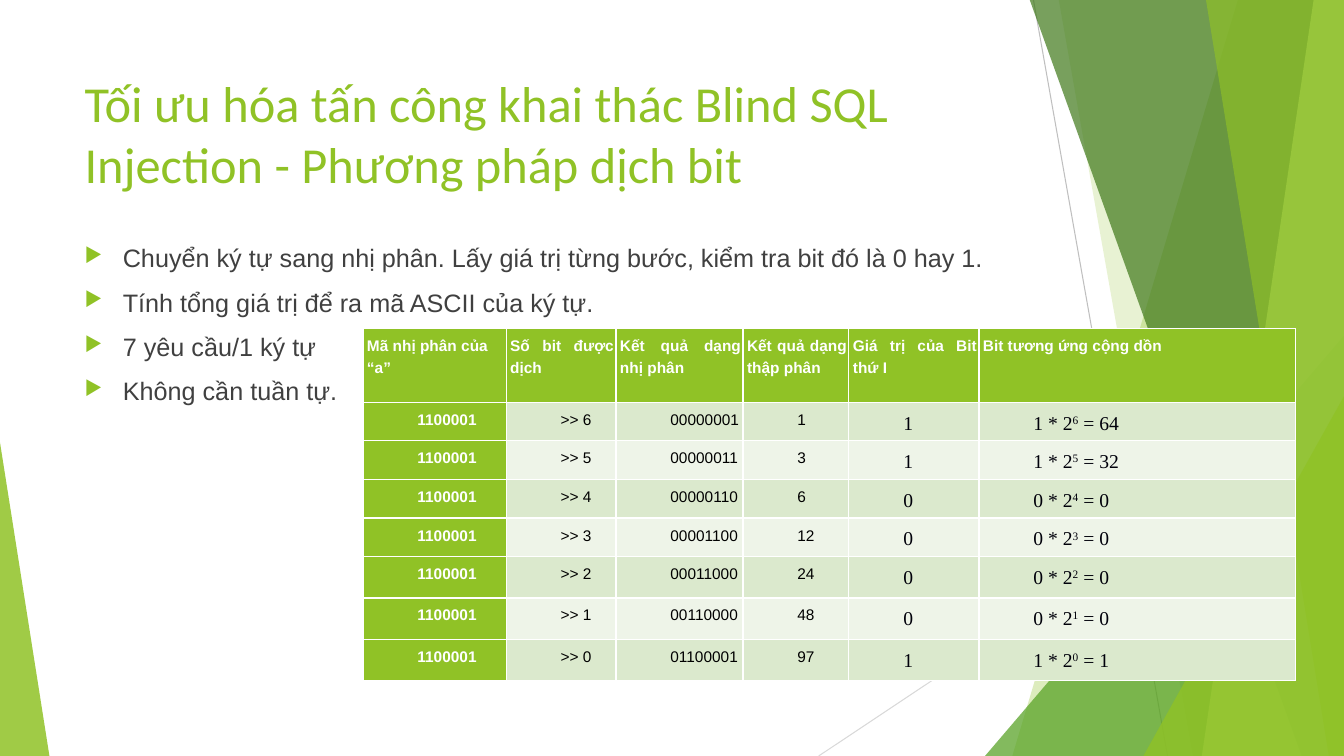
from lxml.etree import SubElement
from pptx import Presentation
from pptx.dml.color import RGBColor
from pptx.enum.shapes import MSO_CONNECTOR, MSO_SHAPE
from pptx.enum.text import PP_ALIGN
from pptx.oxml.ns import qn
from pptx.util import Inches, Pt

THEME = {
    "green": "90C226", "leaf": "54A021", "forest": "3F7819", "lime": "C0E474",
    "bands": ("DBE9CD", "EEF4E8"),
    "title": {"name": "Calibri", "size": Pt(36), "color": "90C226"},
    "body": {"name": "Arial", "size": Pt(18), "color": "404040"},
    "head": {"name": "Arial", "size": Pt(11), "bold": True, "color": "FFFFFF"},
    "cell": {"name": "Arial", "size": Pt(11), "bold": False, "color": "000000"},
    "math": {"name": "Times New Roman", "size": Pt(14), "bold": False, "color": "00000A"},
}


def add_run(p, text, style):
    r = p.add_run()
    r.text = text
    for key, value in style.items():
        if key == "color":
            r.font.color.rgb = RGBColor.from_string(value)
        else:
            setattr(r.font, key, value)
    return r


def add_text_box(left, top, width, height):
    tf = s.shapes.add_textbox(*map(Inches, (left, top, width, height))).text_frame
    tf.word_wrap = True
    return tf


prs = Presentation()
prs.slide_width, prs.slide_height = Inches(13.33), Inches(7.5)
s = prs.slides.add_slide(prs.slide_layouts[6])

# Thin background lines
for ends, color in (((10.25, 0, 11.58, 7.5), "BFBFBF"), ((13.33, 4.03, 8.12, 7.5), "D9D9D9")):
    line = s.shapes.add_connector(MSO_CONNECTOR.STRAIGHT, *map(Inches, ends))
    line.line.color.rgb = RGBColor.from_string(color)
    line.line.width = Pt(0.75)
    SubElement(line._element.spPr, qn("a:effectLst"))

# Translucent facets: bands give (top x, bottom x) and run to the right edge;
# triangles give (left, top, width, height, apex)
facets = [
    ((12.28, 10.04), "green", 30),
    ((10.5, 11.83), "green", 20),
    ((9.77, 3.33, 3.56, 4.17, 1), "leaf", 72),
    ((10.21, 12.91), "forest", 70),
    ((13.03, 11.92), "lime", 70),
    ((11.96, 13.18), "green", 65),
    ((11.34, 3.93, 1.99, 3.57, 1), "green", 80),
    ((0, 4.39, 0.49, 3.11, 0), "green", 85),
]
for geometry, color, opacity in facets:
    if len(geometry) == 2:
        top_x, bottom_x = geometry
        corners = [(13.33, -0.01), (13.33, 7.5), (bottom_x, 7.5)]
        fb = s.shapes.build_freeform(Inches(top_x), Inches(-0.01))
        fb.add_line_segments([(Inches(x), Inches(y)) for x, y in corners], close=True)
        sp = fb.convert_to_shape()
    else:
        *box, apex = geometry
        sp = s.shapes.add_shape(MSO_SHAPE.ISOSCELES_TRIANGLE, *map(Inches, box))
        sp.adjustments[0] = apex
    sp.shadow.inherit = False
    sp.line.fill.background()
    sp.fill.solid()
    sp.fill.fore_color.rgb = RGBColor.from_string(THEME[color])
    clr = sp._element.spPr.find(qn("a:solidFill"))[0]
    SubElement(clr, qn("a:alpha"), val=str(opacity * 1000))

# Title
tf = add_text_box(0.74, 0.67, 9.4, 1.44)
add_run(tf.paragraphs[0],
        "Tối ưu hóa tấn công khai thác Blind SQL Injection - Phương pháp dịch bit",
        THEME["title"])

# Bulleted points
points = [
    "Chuyển ký tự sang nhị phân. Lấy giá trị từng bước, kiểm tra bit đó là 0 hay 1.",
    "Tính tổng giá trị để ra mã ASCII của ký tự.",
    "7 yêu cầu/1 ký tự",
    "Không cần tuần tự.",
]
tf = add_text_box(0.74, 2.36, 9.4, 4.24)
for i, point in enumerate(points):
    p = tf.add_paragraph() if i else tf.paragraphs[0]
    p.space_before = Pt(10)
    add_run(p, point, THEME["body"])
    pPr = p._p.get_or_add_pPr()
    pPr.set("marL", str(Inches(0.38)))
    pPr.set("indent", str(Inches(-0.38)))
    SubElement(SubElement(pPr, qn("a:buClr")), qn("a:srgbClr"), val=THEME["green"])
    SubElement(pPr, qn("a:buSzPct"), val="80000")
    SubElement(pPr, qn("a:buChar"), char="▶")

# Bit-shift table: each row shifts the code of "a" by one bit less
headers = ["Mã nhị phân của “a”", "Số bit được dịch", "Kết quả dạng nhị phân",
           "Kết quả dạng thập phân", "Giá trị của Bit thứ I", "Bit tương ứng cộng dồn"]
code = ord("a")
rows = [headers]
for shift in range(6, -1, -1):
    value = code >> shift
    bit = value & 1
    rows.append([f"{code:b}", f">> {shift}", f"{value:08b}", str(value), str(bit),
                 (f"{bit} * 2", str(shift), f" = {bit << shift}")])

col_widths = [1.42, 1.09, 1.26, 1.05, 1.29, 3.14]
row_heights = [0.73] + [0.35] * 4 + [0.41] * 3
margins = {"margin_left": 0.04, "margin_top": 0.04, "margin_right": 0.02, "margin_bottom": 0.04}
table = s.shapes.add_table(len(rows), len(headers), Inches(3.6), Inches(3.26),
                           Inches(sum(col_widths)), Inches(sum(row_heights))).table
# The default table style supplies the white grid and the heavy rule under the header
table.horz_banding = False
for col, width in zip(table.columns, col_widths):
    col.width = Inches(width)
for row, height in zip(table.rows, row_heights):
    row.height = Inches(height)

for i, row in enumerate(rows):
    for j, content in enumerate(row):
        cell = table.cell(i, j)
        for name, margin in margins.items():
            setattr(cell, name, Inches(margin))
        is_head = i == 0 or j == 0
        cell.fill.solid()
        cell.fill.fore_color.rgb = RGBColor.from_string(
            THEME["green"] if is_head else THEME["bands"][(i - 1) % 2])

        p = cell.text_frame.paragraphs[0]
        p.line_spacing = 1.3
        p.alignment = PP_ALIGN.LEFT if i == j == 0 else PP_ALIGN.JUSTIFY
        if i:
            p._p.get_or_add_pPr().set("indent", str(Inches(0.5)))
        style = THEME["head" if is_head else "math" if j > 3 else "cell"]
        parts = content if isinstance(content, tuple) else (content,)
        for k, part in enumerate(parts):
            r = add_run(p, part, style)
            if k == 1:
                r.font._element.set("baseline", "30000")

prs.save("out.pptx")
